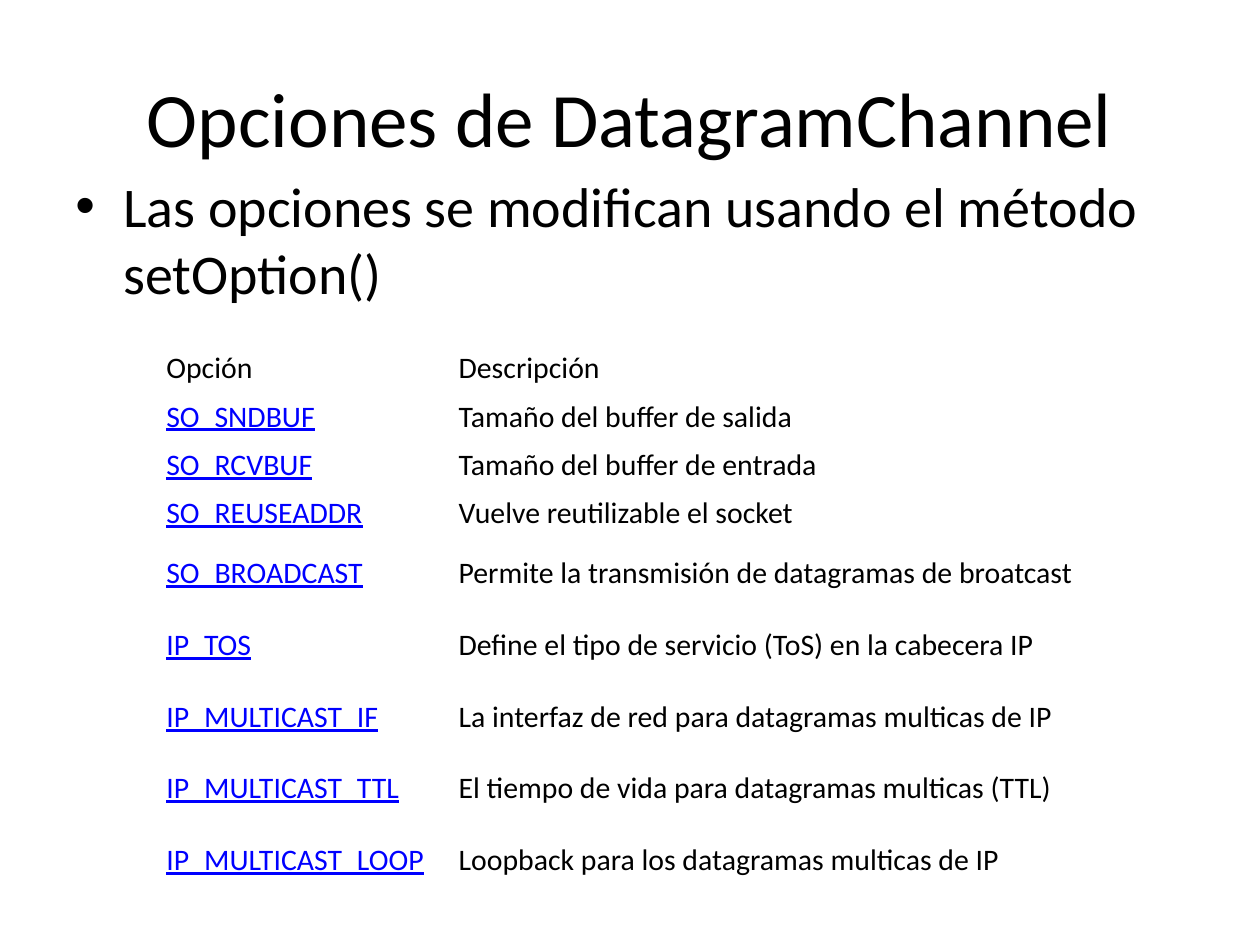
from lxml.etree import SubElement
from pptx import Presentation
from pptx.dml.color import RGBColor
from pptx.enum.text import MSO_ANCHOR, PP_ALIGN
from pptx.oxml.ns import qn
from pptx.util import Inches, Pt

# Content
TITLE = "Opciones de DatagramChannel"
POINT = "Las opciones se modifican usando el método setOption()"
HEAD = ("Opción", "Descripción")
ROWS = [
    ("SO_SNDBUF", "Tamaño del buffer de salida"),
    ("SO_RCVBUF", "Tamaño del buffer de entrada"),
    ("SO_REUSEADDR", "Vuelve reutilizable el socket"),
    ("SO_BROADCAST", "Permite la transmisión de datagramas de broatcast"),
    ("IP_TOS", "Define el tipo de servicio (ToS) en la cabecera IP"),
    ("IP_MULTICAST_IF", "La interfaz de red para datagramas multicas de IP"),
    ("IP_MULTICAST_TTL", "El tiempo de vida para datagramas multicas (TTL)"),
    ("IP_MULTICAST_LOOP", "Loopback para los datagramas multicas de IP"),
]
COLS = (2.32, 5.87)
TALLS = [0.33] * 4 + [0.57] * 5
BLACK, BLUE = "000000", "0000FF"


def paint(font, color):
    font.color.rgb = RGBColor.from_string(color)


def write(frame, text, size=17, color=BLACK, line=False,
          align=PP_ALIGN.LEFT, anchor=MSO_ANCHOR.MIDDLE):
    frame.word_wrap = True
    frame.vertical_anchor = anchor
    para = frame.paragraphs[0]
    para.alignment = align
    run = para.add_run()
    run.text = text
    run.font.name = "Calibri"
    run.font.size = Pt(size)
    run.font.underline = line
    paint(run.font, color)
    return para


def bullet(para, indent):
    props = para._p.get_or_add_pPr()
    props.set("marL", str(Inches(indent)))
    props.set("indent", str(-Inches(indent)))
    SubElement(props, qn("a:buFont")).set("typeface", "Arial")
    SubElement(props, qn("a:buChar")).set("char", "•")


deck = Presentation()
deck.slide_width, deck.slide_height = Inches(10), Inches(7.5)
slide = deck.slides.add_slide(deck.slide_layouts[5])

# Title
title = slide.shapes.title
title.left, title.top = Inches(0.5), Inches(0.3)
title.width, title.height = Inches(9), Inches(1.25)
write(title.text_frame, TITLE, size=44, align=PP_ALIGN.CENTER)

# Bullet point
body = slide.shapes.add_textbox(Inches(0.5), Inches(1.31), Inches(9), Inches(5.39))
para = write(body.text_frame, POINT, size=32, anchor=MSO_ANCHOR.TOP)
para.space_before = Pt(6.4)
bullet(para, 0.38)

# Table of options
table = slide.shapes.add_table(
    len(TALLS), len(COLS), Inches(1.22), Inches(2.73),
    Inches(sum(COLS)), Inches(sum(TALLS))).table
table.first_row = table.horz_banding = False
for col, width in zip(table.columns, COLS):
    col.width = Inches(width)
for row, tall, texts in zip(table.rows, TALLS, [HEAD] + ROWS):
    row.height = Inches(tall)
    for cell, text in zip(row.cells, texts):
        name = texts is not HEAD and text == texts[0]
        cell.fill.background()
        cell.vertical_anchor = MSO_ANCHOR.MIDDLE
        write(cell.text_frame, text, color=BLUE if name else BLACK, line=name)

deck.save("out.pptx")
